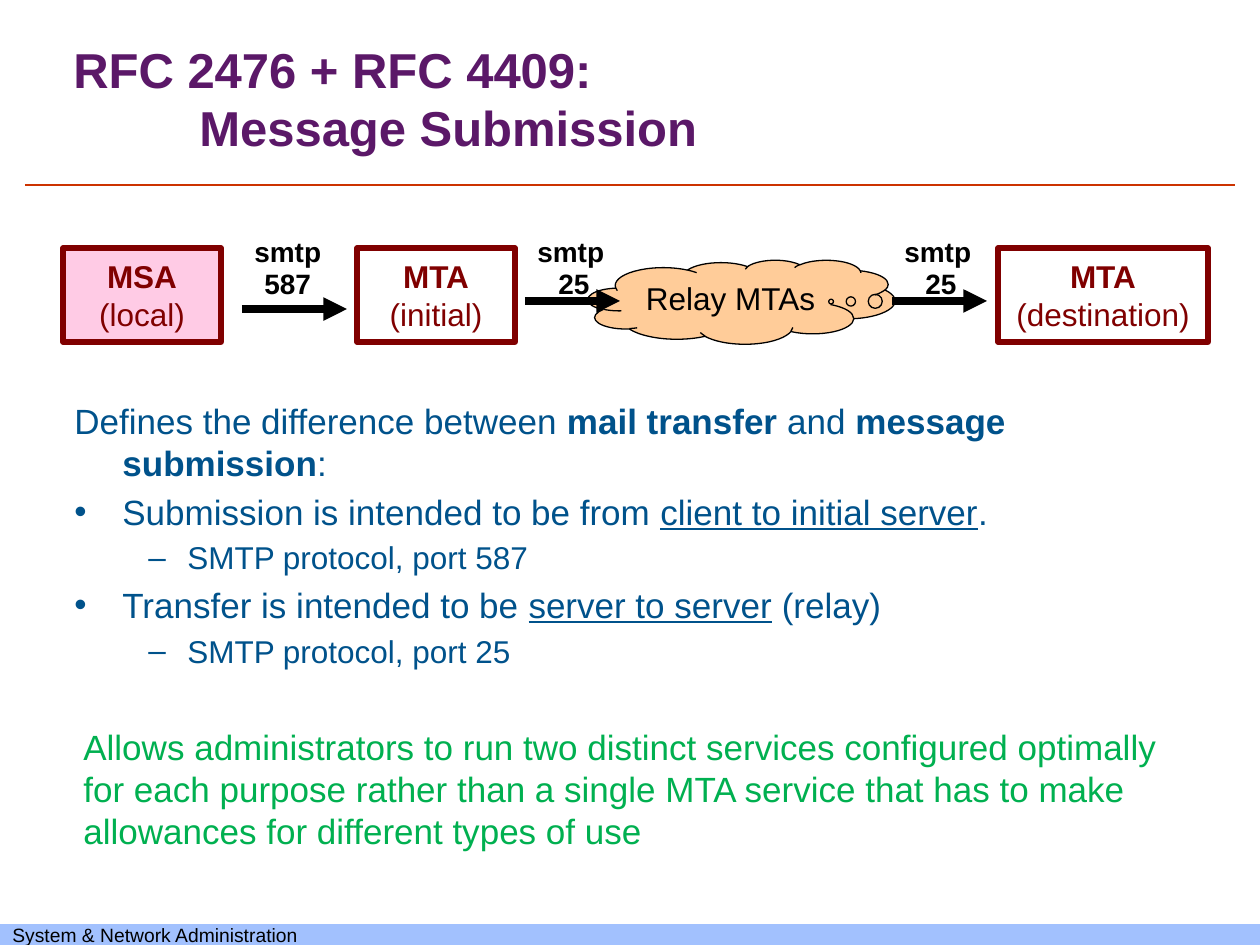
from lxml.etree import SubElement
from pptx import Presentation
from pptx.dml.color import RGBColor
from pptx.enum.shapes import MSO_CONNECTOR, MSO_SHAPE
from pptx.enum.text import MSO_ANCHOR, PP_ALIGN
from pptx.oxml.ns import qn
from pptx.util import Emu, Pt

FONT = "Arial"
BLACK, MAROON, BLUE, GREEN = "000000", "800000", "00528B", "00B050"


def px(count):
    return Emu(round(count * 914400 / 126))


def color(value):
    return RGBColor.from_string(value)


def style(para, size, tint, bold=False):
    for span in para.runs:
        font = span.font
        font.name, font.size, font.bold = FONT, Pt(size), bold
        font.color.rgb = color(tint)


def indent(para, left, first=0, bullet=None):
    props = para._p.get_or_add_pPr()
    props.set("marL", str(px(left)))
    props.set("indent", str(px(first)))
    if bullet:
        SubElement(props, qn("a:buFont")).set("typeface", FONT)
        SubElement(props, qn("a:buChar")).set("char", bullet)
    else:
        SubElement(props, qn("a:buNone"))


def add_text(page, left, top, width, height, wrap=True):
    box = page.shapes.add_textbox(px(left), px(top), px(width), px(height))
    box.text_frame.word_wrap = wrap
    return box.text_frame


def add_block(page, kind, left, top, width, height, fill=None, line=None, weight=1):
    block = page.shapes.add_shape(kind, px(left), px(top), px(width), px(height))
    block.shadow.inherit = False
    if fill:
        block.fill.solid()
        block.fill.fore_color.rgb = color(fill)
    else:
        block.fill.background()
    if line:
        block.line.color.rgb = color(line)
        block.line.width = Pt(weight)
    else:
        block.line.fill.background()
    block.text_frame.word_wrap = True
    return block


def add_line(page, left, right, y, tint, weight, arrow=False):
    line = page.shapes.add_connector(
        MSO_CONNECTOR.STRAIGHT, px(left), px(y), px(right), px(y))
    line.line.color.rgb = color(tint)
    line.line.width = Pt(weight)
    if arrow:
        SubElement(line.line._get_or_add_ln(), qn("a:tailEnd")).set("type", "triangle")
    SubElement(line._element.spPr, qn("a:effectLst"))


def add_title(page, left, top, width, height):
    frame = add_text(page, left, top, width, height)
    frame.vertical_anchor = MSO_ANCHOR.MIDDLE
    frame.text = "RFC 2476 + RFC 4409:\nMessage Submission"
    for para, offset in zip(frame.paragraphs, (11, 137)):
        indent(para, offset)
        style(para, 28, "5B1868", bold=True)


def add_footer(page, left, top, width, height):
    bar = add_block(page, MSO_SHAPE.RECTANGLE, left, top, width, height, "A2C1FE")
    frame = bar.text_frame
    frame.margin_top = frame.margin_bottom = 0
    frame.vertical_anchor = MSO_ANCHOR.MIDDLE
    frame.text = "System & Network Administration"
    frame.paragraphs[0].alignment = PP_ALIGN.LEFT
    style(frame.paragraphs[0], 11, BLACK)


def add_agent(page, left, top, width, height, name, role, fill=None):
    agent = add_block(page, MSO_SHAPE.RECTANGLE, left, top, width, height,
                      fill, MAROON, 3)
    if fill:  # half-transparent fill
        tint = agent._element.spPr.find(qn("a:solidFill")).find(qn("a:srgbClr"))
        SubElement(tint, qn("a:alpha")).set("val", "50000")
    frame = agent.text_frame
    frame.vertical_anchor = MSO_ANCHOR.MIDDLE
    frame.text = f"{name}\n({role})"
    for para, bold in zip(frame.paragraphs, (True, False)):
        para.alignment = PP_ALIGN.CENTER
        style(para, 18, MAROON, bold)


def add_relay(page, left, top, width, height):
    cloud = add_block(page, MSO_SHAPE.CLOUD_CALLOUT, left, top, width, height,
                      "FFCC99", BLACK, 0.75)
    cloud.adjustments[0], cloud.adjustments[1] = 0.292, -0.005
    frame = cloud.text_frame
    frame.vertical_anchor = MSO_ANCHOR.TOP
    frame.text = "Relay MTAs"
    frame.paragraphs[0].alignment = PP_ALIGN.CENTER
    style(frame.paragraphs[0], 18, BLACK)


def add_hop(page, left, top, length, drop, port, port_shift, port_width):
    labels = (("smtp", 0, 0, 92), (port, port_shift, 32, port_width))
    for text, shift, down, width in labels:
        frame = add_text(page, left + shift, top + down, width, 47, wrap=False)
        frame.text = text
        style(frame.paragraphs[0], 16, BLACK, bold=True)
    add_line(page, left, left + length, top + drop, BLACK, 4.5, arrow=True)


def add_mail_path(page, left, top):
    agent_top = top + 20
    add_agent(page, left, agent_top, 158, 94, "MSA", "local", "FF99CC")
    add_agent(page, left + 294, agent_top, 158, 94, "MTA", "initial")
    add_agent(page, left + 935, agent_top, 210, 94, "MTA", "destination")
    add_relay(page, left + 525, top + 32, 307, 84)
    add_hop(page, left + 179, top, 105, 81, "587", 10, 72)
    for shift in (462, 829):
        add_hop(page, left + shift, top, 95, 73, "25", 21, 57)


def add_body(page, left, top, width, height):
    # Each paragraph: kind, then pieces of text with their emphasis
    lines = [
        ("lead", [("Defines the difference between ", ""), ("mail transfer", "bold"),
                  (" and ", ""), ("message submission", "bold"), (":", "")]),
        ("point", [("Submission is intended to be from ", ""),
                   ("client to initial server", "underline"), (".", "")]),
        ("detail", [("SMTP protocol, port 587", "")]),
        ("point", [("Transfer is intended to be ", ""),
                   ("server to server", "underline"), (" (relay)", "")]),
        ("detail", [("SMTP protocol, port 25", "")]),
        ("close", [("Allows administrators to run two distinct services configured "
                    "optimally for each purpose rather than a single MTA service that "
                    "has to make allowances for different types of use", "")]),
    ]
    # Kind: level, left, first line, bullet, size, space before, colour
    kinds = {
        "lead": (0, 60, -48, None, 20, 0, BLUE),
        "point": (0, 60, -48, "•", 20, 4, BLUE),
        "detail": (1, 125, -39, "–", 18, 3.6, BLUE),
        "close": (0, 21, 0, None, 20, 32, GREEN),
    }
    frame = add_text(page, left, top, width, height)
    for index, (kind, pieces) in enumerate(lines):
        level, margin, first, bullet, size, before, tint = kinds[kind]
        para = frame.add_paragraph() if index else frame.paragraphs[0]
        para.level = level
        indent(para, margin, first, bullet)
        para.space_before = Pt(before)
        for text, _ in pieces:
            para.add_run().text = text
        style(para, size, tint)
        for span, (_, emphasis) in zip(para.runs, pieces):
            span.font.bold = emphasis == "bold"
            span.font.underline = emphasis == "underline"


def main():
    deck = Presentation()
    deck.slide_width, deck.slide_height = px(1260), px(945)
    page = deck.slides.add_slide(deck.slide_layouts[6])
    add_line(page, 25, 1235, 185, "CC3300", 1.5)
    add_footer(page, 0, 924, 1260, 21)
    add_body(page, 50, 393, 1134, 504)
    add_title(page, 50, 35, 1134, 126)
    add_mail_path(page, 63, 228)
    deck.save("out.pptx")


if __name__ == "__main__":
    main()
